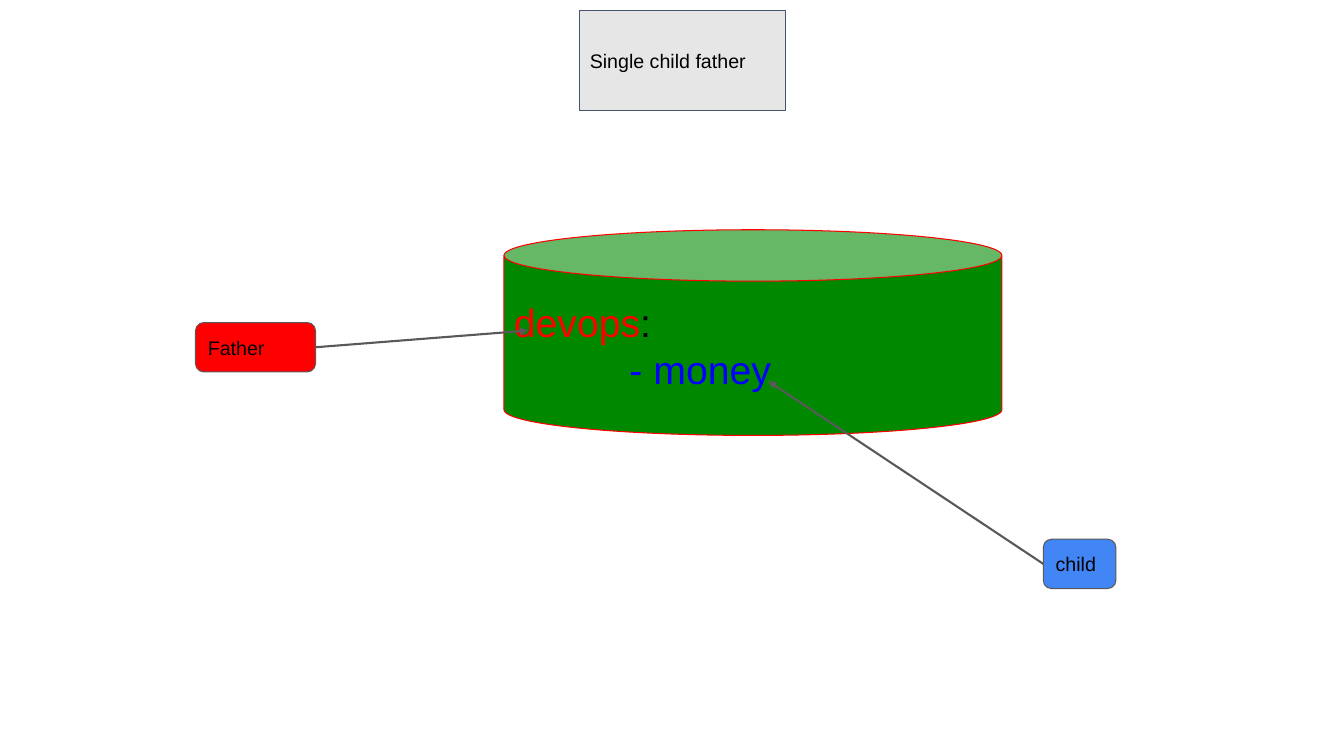
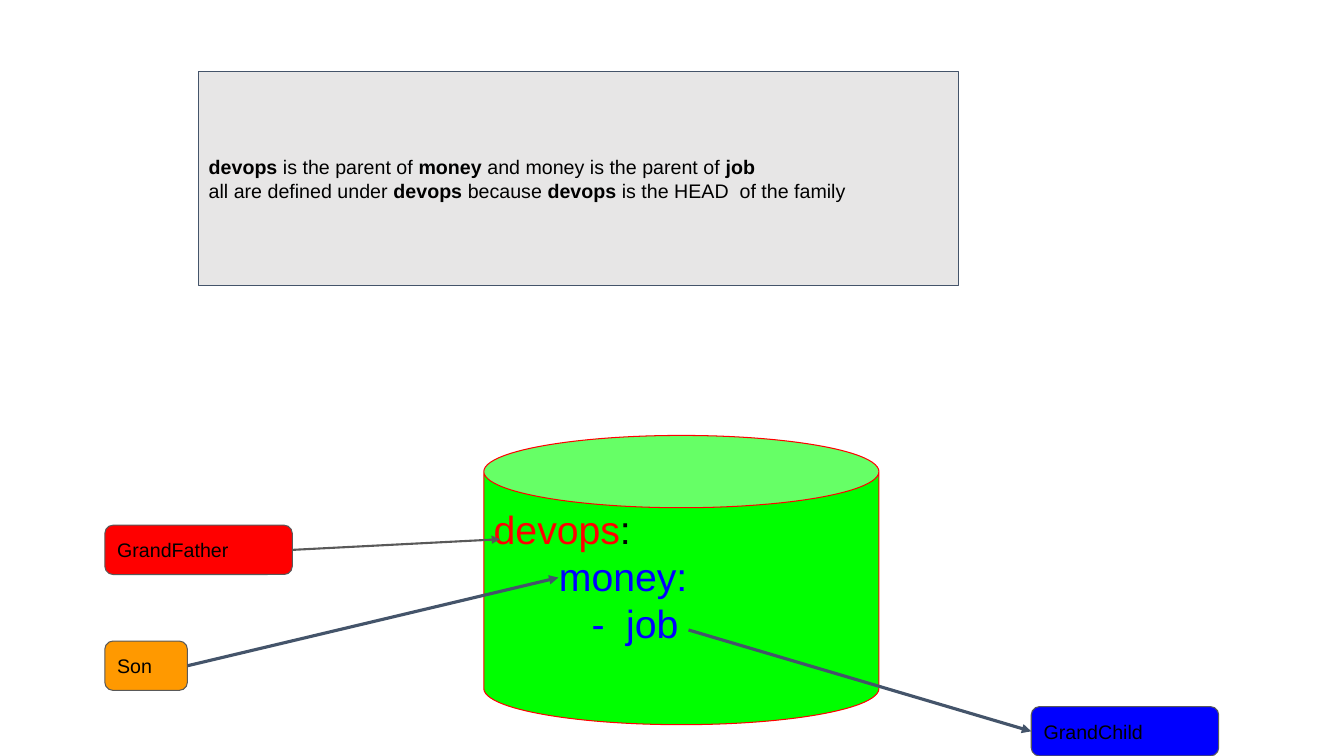
from dataclasses import dataclass

from lxml.etree import SubElement
from pptx import Presentation
from pptx.dml.color import RGBColor
from pptx.enum.shapes import MSO_CONNECTOR, MSO_SHAPE
from pptx.enum.text import MSO_ANCHOR, MSO_AUTO_SIZE, PP_ALIGN
from pptx.oxml import parse_xml
from pptx.oxml.ns import nsdecls, qn
from pptx.util import Inches, Pt

WIDTH, HEIGHT = Inches(13.33), Inches(7.5)
FONT = "Arial"
BLACK, RED, BLUE, ORANGE = "000000", "FF0000", "0000FF", "FF9900"
GREY, SLATE, PALE = "595959", "44546A", "E7E6E6"
LABEL_SIZE, CODE_SIZE = 14, 28
LABEL_HEIGHT = 6.53
MARGIN = 0.1
LEFT_SITE, RIGHT_SITE = 1, 3


@dataclass(frozen=True)
class Box:
    """A place on the slide, in percent of its width and height."""
    left: float
    top: float
    width: float
    height: float = LABEL_HEIGHT


@dataclass(frozen=True)
class Span:
    text: str
    color: str = BLACK
    bold: bool = False


@dataclass(frozen=True)
class Line:
    spans: tuple[Span, ...]
    indent: float = 0


@dataclass(frozen=True)
class Can:
    box: Box
    fill: str
    lines: tuple[Line, ...]
    bottom: float = MARGIN


@dataclass(frozen=True)
class Label:
    """A named box joined by an arrow to a point in the can."""
    text: str
    box: Box
    fill: str
    site: int
    point: tuple[float, float]
    arrow_color: str = GREY
    arrow_width: float = 1.5
    points_at_label: bool = False


@dataclass(frozen=True)
class Page:
    heading: tuple[Line, ...]
    heading_box: Box
    can: Can
    labels: tuple[Label, ...]


def strong(text: str) -> Span:
    return Span(text, bold=True)


DEVOPS = Line((Span("devops", RED), Span(":")))

PAGES = (
    Page(
        (Line((Span("Single child father"),)),),
        Box(43.13, 1.33, 15.3, 13.33),
        Can(Box(37.5, 30.4, 37.05, 27.2), "008800",
            (DEVOPS, Line((Span("      - money", BLUE),), indent=0.5))),
        (
            Label("Father", Box(14.55, 42.67, 8.93), RED, RIGHT_SITE, (39.3, 43.73)),
            Label("child", Box(77.63, 71.33, 5.4), "4285F4", LEFT_SITE, (57.15, 50.4)),
        ),
    ),
    Page(
        (
            Line((strong("devops"), Span(" is the parent of "), strong("money"),
                  Span(" and money is the parent of "), strong("job"))),
            Line((Span("all are defined under "), strong("devops "), Span("because "),
                  strong("devops"), Span(" is the HEAD  of the family"))),
        ),
        Box(14.78, 9.47, 56.55, 28.27),
        Can(Box(36, 57.6, 29.4, 38.27), "00FF00",
            (DEVOPS, Line((Span("      money:", BLUE),)),
             Line((Span("         -  job", BLUE),))), bottom=0.55),
        (
            Label("GrandFather", Box(7.8, 69.47, 13.95), RED, RIGHT_SITE, (37.2, 71.33)),
            Label("Son", Box(7.8, 84.8, 6.15), ORANGE, RIGHT_SITE, (41.55, 76.4),
                  SLATE, 2.25),
            Label("GrandChild", Box(76.73, 93.47, 13.95), BLUE, LEFT_SITE, (51.23, 83.33),
                  SLATE, 2.25, points_at_label=True),
        ),
    ),
)


def rgb(color: str) -> RGBColor:
    return RGBColor.from_string(color)


def across(share: float) -> int:
    return round(WIDTH * share / 100)


def down(share: float) -> int:
    return round(HEIGHT * share / 100)


def place(box: Box) -> tuple[int, int, int, int]:
    return across(box.left), down(box.top), across(box.width), down(box.height)


def paint(sp, fill: str, line: str) -> None:
    sp.fill.solid()
    sp.fill.fore_color.rgb = rgb(fill)
    sp.line.color.rgb = rgb(line)
    sp.line.width = Pt(0.75)
    sp.shadow.inherit = False


def write(sp, lines: tuple[Line, ...], size: float, bottom: float = MARGIN) -> None:
    tf = sp.text_frame
    tf.word_wrap = True
    tf.auto_size = MSO_AUTO_SIZE.NONE
    tf.vertical_anchor = MSO_ANCHOR.MIDDLE
    tf.margin_left = tf.margin_right = tf.margin_top = Inches(MARGIN)
    tf.margin_bottom = Inches(bottom)
    for i, line in enumerate(lines):
        p = tf.add_paragraph() if i else tf.paragraphs[0]
        p.alignment = PP_ALIGN.LEFT
        if line.indent:
            p._p.get_or_add_pPr().set("marL", str(Inches(line.indent)))
        for span in line.spans:
            r = p.add_run()
            r.text = span.text
            r.font.name = FONT
            r.font.size = Pt(size)
            r.font.bold = span.bold
            r.font.color.rgb = rgb(span.color)


def add_heading(s, page: Page) -> None:
    """Turn the title placeholder into a rounded grey box."""
    sp = s.shapes.title
    sp.left, sp.top, sp.width, sp.height = place(page.heading_box)
    sp._element.spPr.insert(1, parse_xml(
        f'<a:prstGeom {nsdecls("a")} prst="roundRect"><a:avLst/></a:prstGeom>'))
    paint(sp, PALE, SLATE)
    write(sp, page.heading, LABEL_SIZE)


def add_can(s, can: Can) -> None:
    sp = s.shapes.add_shape(MSO_SHAPE.CAN, *place(can.box))
    paint(sp, can.fill, RED)
    write(sp, can.lines, CODE_SIZE, can.bottom)


def add_label(s, label: Label) -> None:
    sp = s.shapes.add_shape(MSO_SHAPE.ROUNDED_RECTANGLE, *place(label.box))
    paint(sp, label.fill, GREY)
    write(sp, (Line((Span(label.text),)),), LABEL_SIZE)

    x, y = across(label.point[0]), down(label.point[1])
    arrow = s.shapes.add_connector(MSO_CONNECTOR.STRAIGHT, x, y, x, y)
    connect = arrow.end_connect if label.points_at_label else arrow.begin_connect
    connect(sp, label.site)
    arrow.line.color.rgb = rgb(label.arrow_color)
    arrow.line.width = Pt(label.arrow_width)
    SubElement(arrow.line._get_or_add_ln(), qn("a:tailEnd"), type="triangle")
    SubElement(arrow._element.spPr, qn("a:effectLst"))


def main() -> None:
    prs = Presentation()
    prs.slide_width, prs.slide_height = WIDTH, HEIGHT
    title_only = prs.slide_layouts[5]
    for page in PAGES:
        s = prs.slides.add_slide(title_only)
        add_heading(s, page)
        add_can(s, page.can)
        for label in page.labels:
            add_label(s, label)
    prs.save("out.pptx")


if __name__ == "__main__":
    main()
